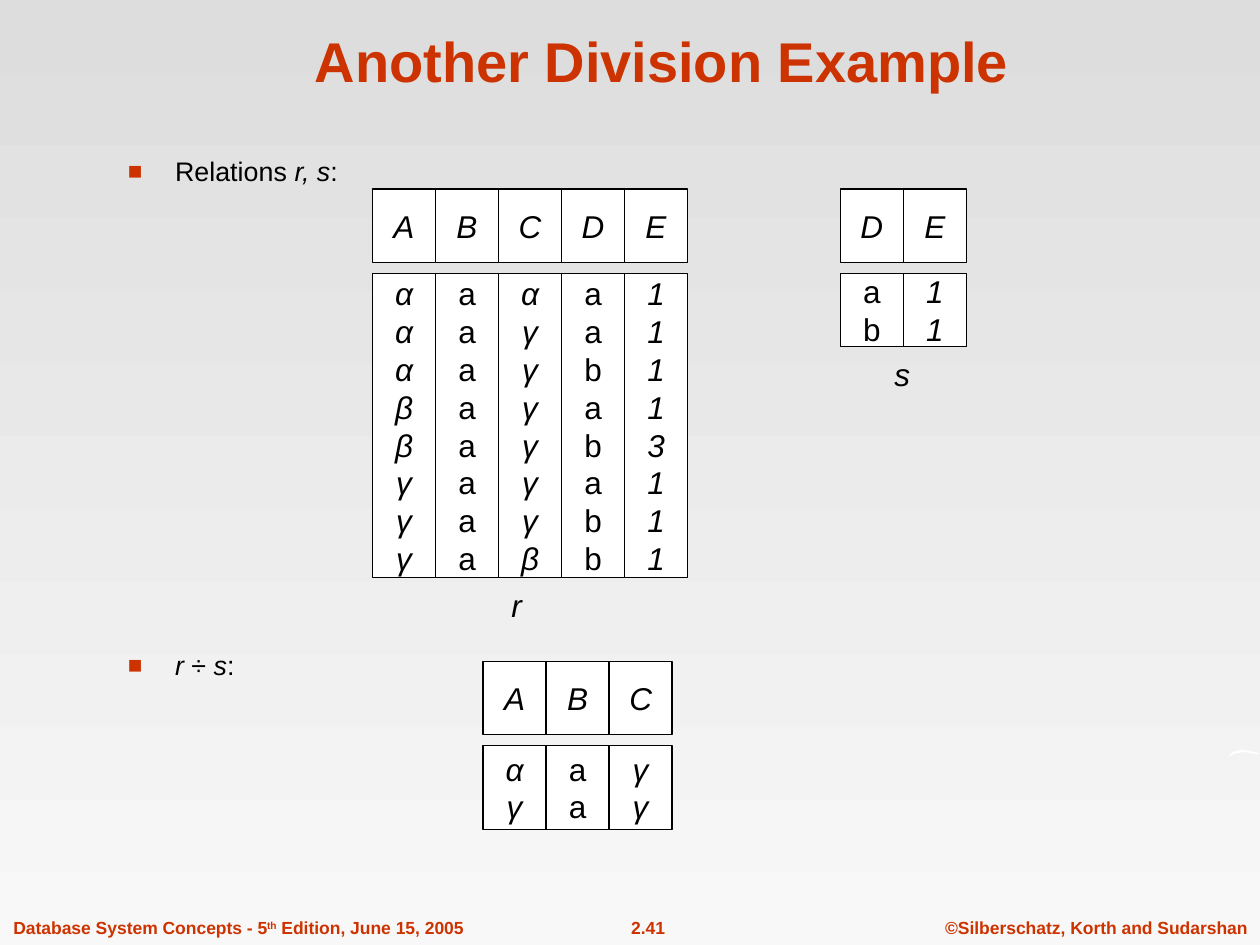
from lxml.etree import SubElement
from pptx import Presentation
from pptx.dml.color import RGBColor
from pptx.enum.shapes import MSO_SHAPE
from pptx.enum.text import MSO_ANCHOR, PP_ALIGN
from pptx.oxml.ns import qn
from pptx.util import Cm, Pt

RED = RGBColor(0xCC, 0x33, 0x00)
BLACK = RGBColor(0x00, 0x00, 0x00)
WHITE = RGBColor(0xFF, 0xFF, 0xFF)
GRADIENT = (RGBColor(0xDD, 0xDD, 0xDD), RGBColor(0xF8, 0xF8, 0xF8))

CELL_WIDTH = 1.27
HEADER_HEIGHT = 1.48
BODY_OFFSET = 1.7
UPRIGHT_VALUES = "ab"


class DivisionPage:
    font_name = "Arial"
    cell_size = 18
    bullet_size = 15.3
    footer_size = 10

    def __init__(self, deck):
        self.page = deck.slides.add_slide(deck.slide_layouts[5])
        self.shapes = self.page.shapes

    def style(self, font, size, color=BLACK, bold=False, italic=False):
        font.name = self.font_name
        font.size = Pt(size)
        font.color.rgb = color
        font.bold = bold
        font.italic = italic

    def background(self, colors):
        fill = self.page.background.fill
        fill.gradient()
        fill.gradient_angle = 270
        for stop, color in zip(fill.gradient_stops, colors):
            stop.color.rgb = color

    def title(self, text, left, top, width, height):
        box = self.shapes.title
        box.left, box.top, box.width, box.height = map(Cm, (left, top, width, height))
        frame = box.text_frame
        frame.text = text
        frame.vertical_anchor = MSO_ANCHOR.BOTTOM
        para = frame.paragraphs[0]
        para.alignment = PP_ALIGN.CENTER
        self.style(para.runs[0].font, 32, RED, bold=True)

    def text_box(self, left, top, width, height, wrap=False):
        box = self.shapes.add_textbox(Cm(left), Cm(top), Cm(width), Cm(height))
        box.text_frame.word_wrap = wrap
        return box.text_frame

    def bullet(self, spans, left, top, width, height):
        """Add a bulleted line; spans are (text, italic) pairs."""
        para = self.text_box(left, top, width, height, wrap=True).paragraphs[0]
        properties = para._p.get_or_add_pPr()
        indent = Cm(0.95)
        properties.set("marL", str(indent))
        properties.set("indent", str(-indent))
        color = SubElement(properties, qn("a:buClr"))
        SubElement(color, qn("a:srgbClr"), val=str(RED))
        SubElement(properties, qn("a:buSzPct"), val="90000")
        SubElement(properties, qn("a:buFont"), typeface=self.font_name)
        SubElement(properties, qn("a:buChar"), char="■")
        for text, italic in spans:
            span = para.add_run()
            span.text = text
            self.style(span.font, self.bullet_size, italic=italic)

    def cell(self, values, left, top, height):
        """Draw one column box with a line of text for each value."""
        box = self.shapes.add_shape(
            MSO_SHAPE.RECTANGLE, Cm(left), Cm(top), Cm(CELL_WIDTH), Cm(height))
        box.shadow.inherit = False
        box.fill.solid()
        box.fill.fore_color.rgb = WHITE
        box.line.color.rgb = BLACK
        box.line.width = Pt(0.75)
        frame = box.text_frame
        frame.text = "\n".join(values)
        frame.word_wrap = False
        frame.vertical_anchor = MSO_ANCHOR.MIDDLE
        for value, para in zip(values, frame.paragraphs):
            para.alignment = PP_ALIGN.CENTER
            self.style(para.runs[0].font, self.cell_size,
                       italic=value not in UPRIGHT_VALUES)

    def relation(self, columns, left, top, body_height):
        """Draw a relation; columns maps each attribute to its values."""
        for index, (attribute, values) in enumerate(columns.items()):
            x = left + index * CELL_WIDTH
            self.cell(attribute, x, top, HEADER_HEIGHT)
            self.cell(values, x, top + BODY_OFFSET, body_height)

    def caption(self, text, left, top, width):
        frame = self.text_box(left, top, width, 1.02)
        frame.text = text
        frame.vertical_anchor = MSO_ANCHOR.MIDDLE
        para = frame.paragraphs[0]
        para.alignment = PP_ALIGN.CENTER
        self.style(para.runs[0].font, self.cell_size, italic=True)

    def footer(self, spans, left, width, alignment=PP_ALIGN.CENTER):
        """Add a footer line; every second span is superscript."""
        para = self.text_box(left, 18.37, width, 0.69).paragraphs[0]
        para.alignment = alignment
        for index, text in enumerate(spans):
            span = para.add_run()
            span.text = text
            self.style(span.font, self.footer_size, RED, bold=True)
            if index % 2:
                span._r.get_or_add_rPr().set("baseline", "30000")

    def swoosh(self, start, points):
        """Draw a white outline; points are in hundredths of a centimetre."""
        builder = self.shapes.build_freeform(*start, scale=Cm(0.01))
        builder.add_line_segments(points, close=True)
        shape = builder.convert_to_shape()
        shape.shadow.inherit = False
        shape.fill.solid()
        shape.fill.fore_color.rgb = WHITE
        shape.line.fill.background()


def main():
    deck = Presentation()
    deck.slide_width, deck.slide_height = Cm(25.4), Cm(19.05)
    page = DivisionPage(deck)
    page.background(GRADIENT)

    page.footer(["©Silberschatz, Korth and Sudarshan"], 18.8, 6.6)
    page.footer(["2.41"], 11.82, 2.49)
    page.footer(["Database System Concepts - 5", "th", " Edition, June 15, 2005"],
                0.02, 9.68, PP_ALIGN.LEFT)
    page.swoosh((2477, 1527), [(2484, 1516), (2502, 1511), (2520, 1514), (2540, 1519),
                               (2535, 1521), (2510, 1516), (2489, 1519)])
    page.title("Another Division Example", 2.13, 0.32, 22.43, 1.7)

    page.bullet([("Relations ", False), ("r, s", True), (":", False)],
                2.33, 3, 5.92, 0.91)
    page.relation({"A": "αααββγγγ", "B": "aaaaaaaa", "C": "αγγγγγγβ",
                   "D": "aabababb", "E": "11113111"}, 7.51, 3.81, 6.14)
    page.caption("r", 10.06, 11.68, 0.71)
    page.relation({"D": "ab", "E": "11"}, 16.94, 3.81, HEADER_HEIGHT)
    page.caption("s", 17.78, 7.02, 0.81)

    page.bullet([("r ", True), ("÷ ", False), ("s", True), (":", False)],
                2.33, 12.96, 3.61, 0.91)
    page.relation({"A": "αγ", "B": "aa", "C": "γγ"}, 9.74, 13.33, 1.69)

    deck.save("out.pptx")


if __name__ == "__main__":
    main()
